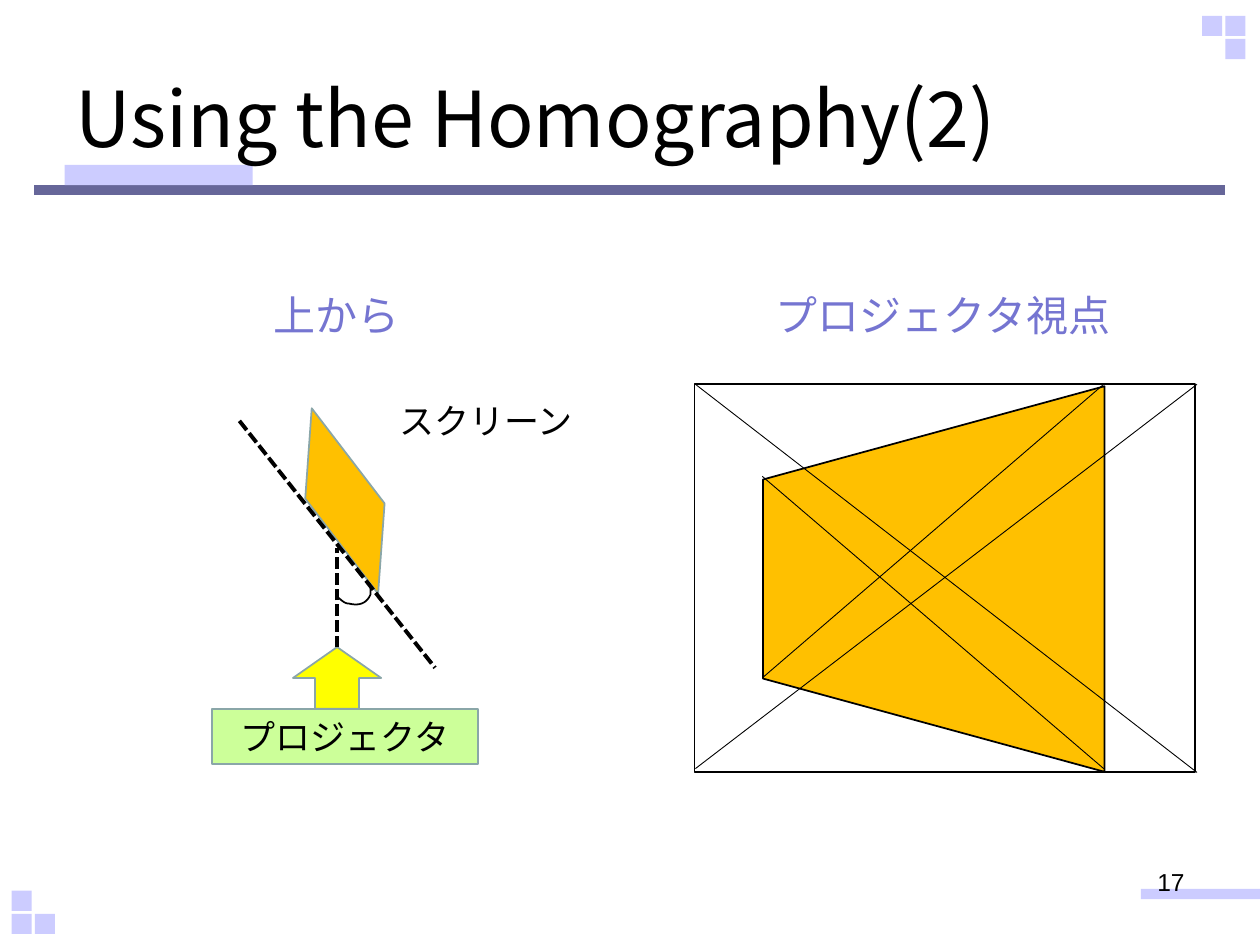
import pptx
import pptx.util
import pptx.dml.color
import pptx.enum.dml
import pptx.enum.shapes
import pptx.enum.text
import lxml.etree

Pt = pptx.util.Pt
SHAPE = pptx.enum.shapes.MSO_SHAPE
ALIGN = pptx.enum.text.PP_ALIGN
MIDDLE = pptx.enum.text.MSO_ANCHOR.MIDDLE
qn = pptx.oxml.ns.qn

JAPANESE = "Noto Sans CJK JP"
BLACK, LAVENDER, SLATE, VIOLET = "000000", "CCCCFF", "666699", "7575D1"
AMBER, YELLOW, GREEN, EDGE = "FFC000", "FFFF00", "CCFF99", "8AA6A8"


def rgb(value):
    return pptx.dml.color.RGBColor.from_string(value)


def write(shape, text, size=20, font=JAPANESE, color=BLACK,
          align=ALIGN.LEFT, anchor=pptx.enum.text.MSO_ANCHOR.TOP, wrap=True):
    frame = shape.text_frame
    frame.word_wrap = wrap
    frame.vertical_anchor = anchor
    paragraph = frame.paragraphs[0]
    paragraph.alignment = align
    run = paragraph.add_run()
    run.text = text
    run.font.size = Pt(size)
    run.font.name = font
    run.font.color.rgb = rgb(color)
    # East Asian glyphs take their own typeface
    lxml.etree.SubElement(run.font._element, qn("a:ea")).set("typeface", font)


def bezier(start, first, second, end, steps=10):
    for step in range(1, steps + 1):
        t = step / steps
        u = 1 - t
        yield tuple(u**3 * a + 3 * u * u * t * b + 3 * u * t * t * c + t**3 * d
                    for a, b, c, d in zip(start, first, second, end))


class Sketch:
    """Draws on one slide; all lengths are points."""

    def __init__(self, slide):
        self.shapes = slide.shapes

    def style(self, shape, fill=None, line=None, width=1):
        shape.shadow.inherit = False
        if fill:
            shape.fill.solid()
            shape.fill.fore_color.rgb = rgb(fill)
        else:
            shape.fill.background()
        if line:
            shape.line.color.rgb = rgb(line)
            shape.line.width = Pt(width)
        else:
            shape.line.fill.background()
        return shape

    def shape(self, kind, box, fill=None, line=None, rotation=0, adjust=None):
        shape = self.shapes.add_shape(kind, *map(Pt, box))
        shape.rotation = rotation
        if adjust is not None:
            shape.adjustments[0] = adjust
        return self.style(shape, fill, line)

    def label(self, box, text, **formatting):
        write(self.shapes.add_textbox(*map(Pt, box)), text, **formatting)

    def line(self, start, end, width=0.5, dashed=False):
        line = self.shapes.add_connector(
            pptx.enum.shapes.MSO_CONNECTOR.STRAIGHT, *map(Pt, start + end))
        line.line.color.rgb = rgb(BLACK)
        line.line.width = Pt(width)
        if dashed:
            line.line.dash_style = pptx.enum.dml.MSO_LINE.SQUARE_DOT
        lxml.etree.SubElement(line._element.spPr, qn("a:effectLst"))

    def curve(self, start, segments):
        points = [start]
        for segment in segments:
            points.extend(bezier(points[-1], *segment))
        builder = self.shapes.build_freeform(*map(Pt, start), scale=1.0)
        builder.add_line_segments(
            [tuple(map(Pt, point)) for point in points[1:]], close=False)
        self.style(builder.convert_to_shape(), line=BLACK)


deck = pptx.Presentation()
deck.slide_width, deck.slide_height = Pt(720), Pt(540)
sketch = Sketch(deck.slides.add_slide(deck.slide_layouts[6]))

# Bars under the title and the page number
for box, color in (((19.5, 105.8, 680.4, 5.6), SLATE),
                   ((36.9, 94.3, 107.5, 11.5), LAVENDER),
                   ((652, 508, 68, 5.8), LAVENDER)):
    sketch.shape(SHAPE.RECTANGLE, box, color)

# Corner squares: a 2 by 2 grid with one cell left out
for left, top, empty in ((686.9, 9.1, (0, 1)), (6.6, 509, (1, 0))):
    for column in range(2):
        for row in range(2):
            if (column, row) != empty:
                sketch.shape(SHAPE.RECTANGLE,
                             (left + 13.3 * column, top + 13.2 * row, 11.5, 11.5),
                             LAVENDER)

# Title and page number
sketch.label((36, 21.6, 648, 90), "Using the Homography(2)", size=44, anchor=MIDDLE)
sketch.label((516.2, 491.8, 167.8, 37.4), "17", size=14, font="Arial",
             align=ALIGN.RIGHT)

# View from above: projector, screen and the angle between them
sketch.shape(SHAPE.RIGHT_ARROW, (175, 362.2, 35.3, 50.4), YELLOW, EDGE, rotation=270)
sketch.shape(SHAPE.PARALLELOGRAM, (145.6, 263.6, 103, 45.4), AMBER, EDGE,
             rotation=94.1, adjust=1.129)
projector = sketch.shape(SHAPE.FLOWCHART_PROCESS, (121, 405.2, 152, 31.2), GREEN, EDGE)
write(projector, "プロジェクタ", align=ALIGN.CENTER, anchor=MIDDLE)
sketch.label((221, 224.6, 116, 31.7), "スクリーン")
sketch.line((192.8, 370), (192.8, 313), width=2.25, dashed=True)
sketch.line((136.8, 240.5), (248.6, 381.6), width=2.25, dashed=True)
sketch.curve((193, 341.3), (
    ((195.1, 342.7), (196.6, 344.9), (199.4, 344.9)),
    ((205.2, 346.3), (209.5, 344.9), (211.7, 339.8)),
    ((211.7, 338.4), (211.7, 337), (211.7, 335.5))))

# View from the projector: warped screen inside the full frame
sketch.shape(SHAPE.TRAPEZOID, (423.4, 233.3, 220.3, 195.1), AMBER, BLACK,
             rotation=270, adjust=0.273)
for box, heading in (((436.3, 162, 208.1, 36), "プロジェクタ視点"),
                     ((149, 162, 87.1, 36), "上から")):
    sketch.label(box, heading, size=24, color=VIOLET, wrap=False)
sketch.shape(SHAPE.FLOWCHART_PROCESS, (396.9, 219.5, 285.9, 221.6), line=BLACK)

# Diagonals of the frame and of the warped screen
for start, end in (((397.4, 439.2), (684, 219.6)),
                   ((397.4, 219.6), (684, 441.4)),
                   ((435.6, 387.4), (630.7, 219.6)),
                   ((435.6, 272.2), (630.7, 439.2))):
    sketch.line(start, end)

deck.save("out.pptx")
